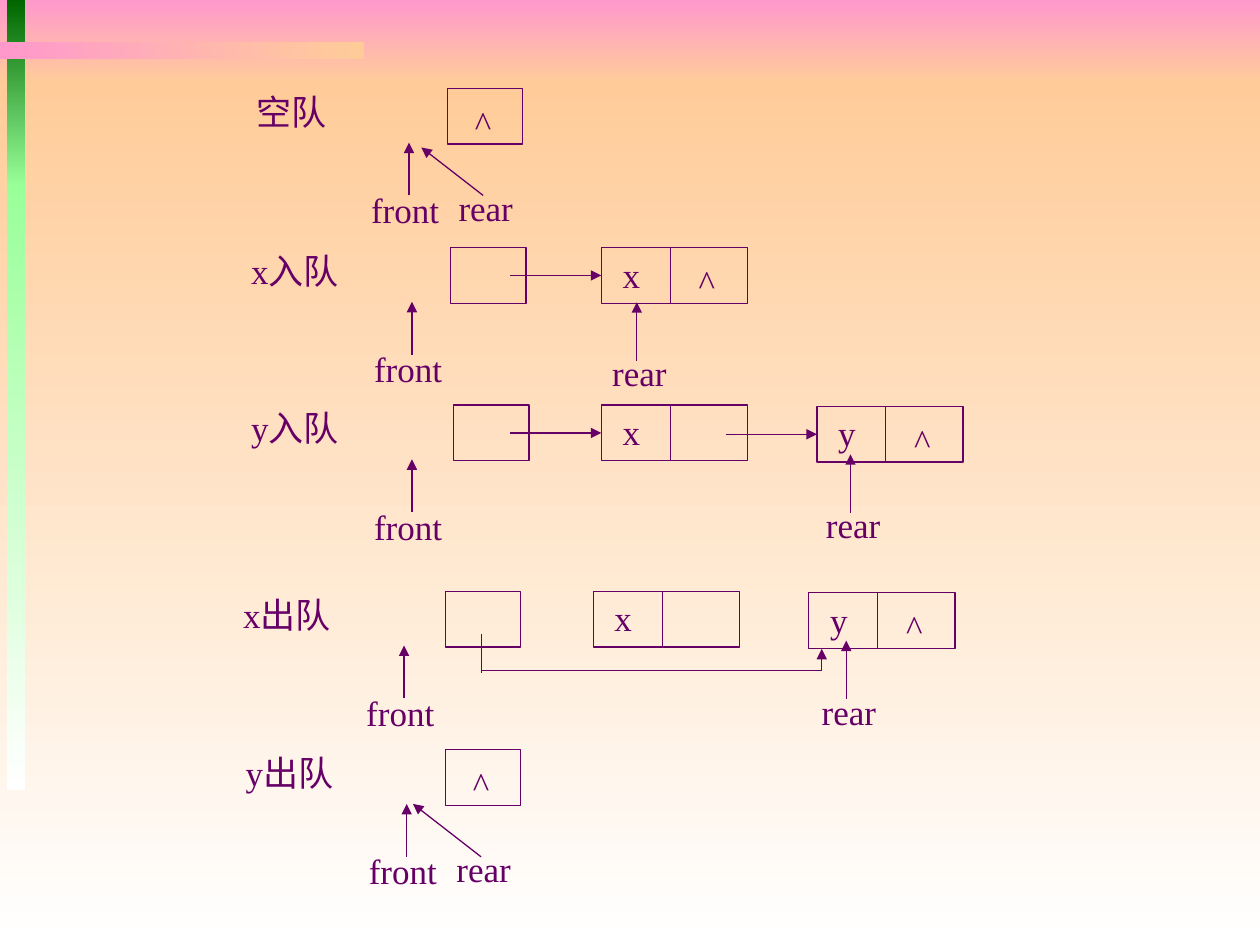
from lxml import etree
from pptx import Presentation
from pptx.dml.color import RGBColor
from pptx.enum.shapes import MSO_CONNECTOR, MSO_SHAPE
from pptx.enum.text import MSO_ANCHOR, PP_ALIGN
from pptx.oxml.ns import qn
from pptx.util import Pt

RECTANGLE = MSO_SHAPE.RECTANGLE
STRAIGHT = MSO_CONNECTOR.STRAIGHT
MIDDLE = MSO_ANCHOR.MIDDLE
CENTER = PP_ALIGN.CENTER

PURPLE = RGBColor(0x66, 0x00, 0x66)
PINK = RGBColor(0xFF, 0x99, 0xCC)
PEACH = RGBColor(0xFF, 0xCC, 0x99)
WHITE = RGBColor(0xFF, 0xFF, 0xFF)
DARK_GREEN = RGBColor(0x00, 0x66, 0x00)
LIGHT_GREEN = RGBColor(0x99, 0xFF, 0x99)

DOWNWARD, RIGHTWARD = 270, 0
LEFT_SIDE = 1
CELL_WIDTH, NODE_WIDTH, BOX_HEIGHT = 43.2, 83.5, 31.8
DIVIDER = 39.4
TEXT_HEIGHT = 31


class QueueDiagram:
    font_name = "Times New Roman"
    font_size = 20
    line_width = 0.75

    def __init__(self, slide):
        self.slide = slide

    def band(self, x, y, width, height, start, end, angle=DOWNWARD):
        """Draw a borderless rectangle with a two-colour gradient."""
        band = self.slide.shapes.add_shape(
            RECTANGLE, Pt(x), Pt(y), Pt(width), Pt(height))
        band.shadow.inherit = False
        band.line.fill.background()
        band.fill.gradient()
        band.fill.gradient_angle = angle
        for stop, color in zip(band.fill.gradient_stops, (start, end)):
            stop.color.rgb = color

    def box(self, x, y, width):
        box = self.slide.shapes.add_shape(
            RECTANGLE, Pt(x), Pt(y), Pt(width), Pt(BOX_HEIGHT))
        box.shadow.inherit = False
        box.fill.background()
        box.line.color.rgb = PURPLE
        box.line.width = Pt(self.line_width)
        return box

    def text(self, wording, x, y, width, wrap=False):
        label = self.slide.shapes.add_textbox(
            Pt(x), Pt(y), Pt(width), Pt(TEXT_HEIGHT))
        frame = label.text_frame
        frame.word_wrap = wrap
        frame.vertical_anchor = MIDDLE
        paragraph = frame.paragraphs[0]
        paragraph.text = wording
        paragraph.alignment = CENTER
        paragraph.font.name = self.font_name
        paragraph.font.size = Pt(self.font_size)
        paragraph.font.color.rgb = PURPLE

    def line(self, x1, y1, x2, y2, arrow=False):
        line = self.slide.shapes.add_connector(
            STRAIGHT, Pt(x1), Pt(y1), Pt(x2), Pt(y2))
        line.line.color.rgb = PURPLE
        line.line.width = Pt(self.line_width)
        if arrow:
            etree.SubElement(line.line._get_or_add_ln(), qn("a:tailEnd"),
                             type="triangle")
        etree.SubElement(line._element.spPr, qn("a:effectLst"))
        return line

    def row(self, caption, front_x, cell_x, y, wrap=True):
        """Draw what every state has: caption, front pointer and head cell."""
        caption_width = 64.8 if wrap else 54.7
        self.text(caption, front_x - 38.1 - caption_width / 2, y - 2.5,
                  caption_width, wrap)
        self.box(cell_x, y, CELL_WIDTH)
        self.text("front", front_x, y + 53.8, 53.3)
        self.line(front_x + 28.8, y + 61.2, front_x + 28.8, y + 31,
                  arrow=True)

    def null(self, x, y):
        self.text("^", x, y + 3.8, 23.8)

    def node(self, value, x, y, last=False):
        node = self.box(x, y, NODE_WIDTH)
        self.line(x + DIVIDER, y, x + DIVIDER, y + BOX_HEIGHT)
        self.text(value, x + 4.9, y - 0.4, 24.5)
        if last:
            self.null(x + 48.4, y)
        return node

    def link(self, from_x, node):
        """Point from inside the previous cell to the left side of a node."""
        middle = (node.top + node.height / 2) / Pt(1)
        link = self.line(from_x, middle, node.left / Pt(1), middle,
                         arrow=True)
        link.end_connect(node, LEFT_SIDE)

    def rear(self, x, y, tip_dx=0, tip_dy=-33.4):
        """Draw the rear pointer, its tip offset from the arrow's start."""
        self.text("rear", x, y, 45.4)
        start_x, start_y = x + 21.2, y + 8.6
        self.line(start_x, start_y, start_x + tip_dx, start_y + tip_dy,
                  arrow=True)


def main():
    presentation = Presentation()
    presentation.slide_width = Pt(720)
    presentation.slide_height = Pt(540)
    slide = presentation.slides.add_slide(presentation.slide_layouts[6])
    queue = QueueDiagram(slide)

    queue.band(0, 0, 720, 48, PINK, PEACH)
    queue.band(0, 48, 720, 492, PEACH, WHITE)
    queue.band(4, 0, 10.3, 106.5, DARK_GREEN, LIGHT_GREEN)
    queue.band(4, 105, 10.3, 346.5, LIGHT_GREEN, WHITE)
    queue.band(0, 24, 208.3, 9.8, PINK, PEACH, RIGHTWARD)

    # Empty queue, at the start and after both elements have left
    for caption, front_x, cell_x, y, tip_dx, tip_dy, wrap in (
            ("空队", 204.9, 255.6, 50.5, -35.3, -27.4, False),
            ("y出队", 203.6, 254.4, 428.4, -38.9, -30.2, True)):
        queue.row(caption, front_x, cell_x, y, wrap)
        queue.null(cell_x + 8.6, y)
        queue.rear(cell_x - 0.7, y + 52.6, tip_dx, tip_dy)

    # x enters
    x_left, y = 343.6, 141.5
    queue.row("x入队", 206.6, 257.5, y)
    queue.link(291.6, queue.node("x", x_left, y, last=True))
    queue.rear(x_left - 0.9, y + 56)

    # y enters
    y_left, y = 466.8, 231.5
    queue.row("y入队", 206.6, 259.2, y)
    queue.link(291.6, queue.node("x", x_left, y))
    queue.link(414.7, queue.node("y", y_left, y + 0.8, last=True))
    queue.rear(y_left - 2, y + 52.9)

    # x leaves: the head cell skips to y
    x_left, y_left, y = 339, 462.2, 337.9
    queue.row("x出队", 202.1, 254.4, y)
    queue.node("x", x_left, y)
    queue.node("y", y_left, y + 0.8, last=True)
    queue.rear(y_left + 0.2, y + 53)
    bend_x, bend_y, tip_x = 275, 383.2, 469.6
    queue.line(bend_x, 362.2, bend_x, 384.5)
    queue.line(bend_x, bend_y, tip_x, bend_y)
    queue.line(tip_x, bend_y, tip_x, 370.8, arrow=True)

    presentation.save("out.pptx")


if __name__ == "__main__":
    main()
